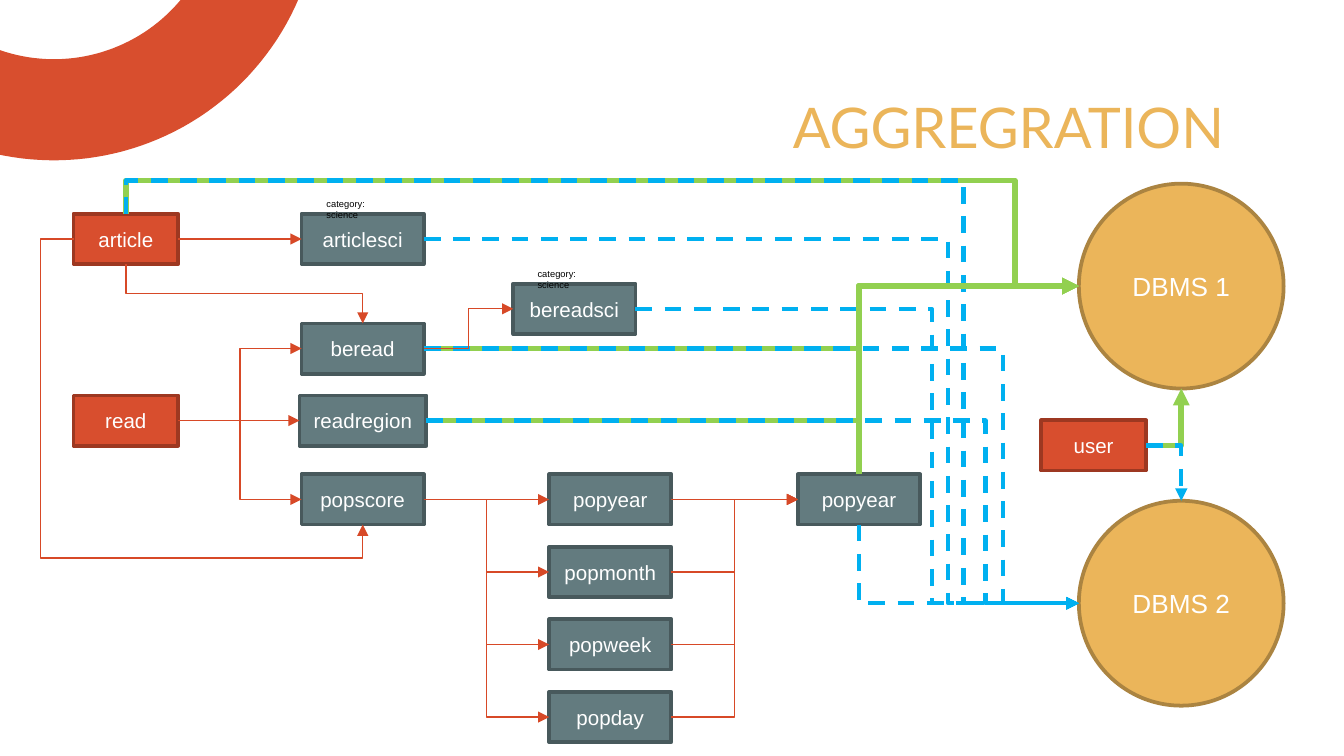
import math

from pptx import Presentation
from pptx.dml.color import RGBColor
from pptx.enum.dml import MSO_LINE
from pptx.enum.shapes import MSO_CONNECTOR, MSO_SHAPE
from pptx.enum.text import MSO_ANCHOR, MSO_AUTO_SIZE, PP_ALIGN
from pptx.oxml.ns import qn
from pptx.oxml.xmlchemy import OxmlElement
from pptx.util import Cm, Pt

RECT, OVAL = MSO_SHAPE.RECTANGLE, MSO_SHAPE.OVAL
STRAIGHT, ELBOW = MSO_CONNECTOR.STRAIGHT, MSO_CONNECTOR.ELBOW
TOP, LEFT, BOTTOM, RIGHT = range(4)
MID = None  # turn halfway between the two ends

COLORS = {
    "white": "FFFFFF", "black": "000000", "gold": "EBB55A", "gold edge": "AB8441",
    "red": "D84E2E", "red edge": "9D3821", "slate": "637B7F", "slate edge": "48595C",
    "flow": "D74927", "green": "92D050", "blue": "00B0F0",
}

# Kind: preset, fill, edge, width, height, text size
KINDS = {
    "source": (RECT, "red", "red edge", 1.98, 0.95, 11),
    "derived": (RECT, "slate", "slate edge", 2.31, 0.95, 11),
    "wide": (RECT, "slate", "slate edge", 2.4, 0.95, 11),
    "dbms": (OVAL, "gold", "gold edge", 3.87, 3.87, 14),
}
# Flow: colour, line width, dashed
FLOWS = {
    "derive": ("flow", 0.75, False),
    "dbms 1": ("green", 3, False),
    "dbms 2": ("blue", 2.25, True),
}

# Key: label, kind, left, top (cm)
NODES = {
    "user": ("user", "source", 19.68, 7.94),
    "article": ("article", "source", 1.39, 4.04),
    "read": ("read", "source", 1.39, 7.47),
    "articlesci": ("articlesci", "derived", 5.7, 4.04),
    "beread": ("beread", "derived", 5.7, 6.11),
    "bereadsci": ("bereadsci", "derived", 9.7, 5.36),
    "popscore": ("popscore", "derived", 5.7, 8.96),
    "popyear all": ("popyear", "derived", 15.08, 8.96),
    "dbms 1": ("DBMS 1", "dbms", 20.39, 3.47),
    "dbms 2": ("DBMS 2", "dbms", 20.39, 9.46),
    "readregion": ("readregion", "wide", 5.66, 7.47),
}
PERIODS = ["popyear", "popmonth", "popweek", "popday"]
PERIOD_LEFT, PERIOD_TOP, PERIOD_STEP = 10.38, 8.96, 1.37
for row, period in enumerate(PERIODS):
    NODES[period] = (period, "derived", PERIOD_LEFT, PERIOD_TOP + row * PERIOD_STEP)

NOTES = [("category: science", 5.92, 3.61), ("category: science", 9.91, 4.93)]

# Flow, from, side, to, side, turns (cm, alternating axes; None for a straight line)
LINKS = [
    ("derive", "article", RIGHT, "articlesci", LEFT, None),
    ("derive", "read", RIGHT, "beread", LEFT, [MID]),
    ("derive", "read", RIGHT, "popscore", LEFT, [MID]),
    ("derive", "article", BOTTOM, "beread", TOP, [MID]),
    ("derive", "article", LEFT, "popscore", BOTTOM, [0.76, 10.54]),
    ("derive", "popscore", RIGHT, "popyear", LEFT, None),
    *[("derive", "popscore", RIGHT, period, LEFT, [MID]) for period in PERIODS[1:]],
    ("derive", "popyear", RIGHT, "popyear all", LEFT, None),
    *[("derive", period, RIGHT, "popyear all", LEFT, [MID]) for period in PERIODS[1:]],
    ("dbms 1", "article", TOP, "dbms 1", LEFT, [3.41, 19.18]),
    ("dbms 2", "article", TOP, "dbms 2", LEFT, [3.41, 18.21]),
    ("dbms 2", "articlesci", RIGHT, "dbms 2", LEFT, [17.92]),
    ("dbms 2", "bereadsci", RIGHT, "dbms 2", LEFT, [17.61]),
    ("dbms 1", "beread", RIGHT, "dbms 1", LEFT, [16.23]),
    ("dbms 2", "beread", RIGHT, "dbms 2", LEFT, [18.95]),
    ("derive", "beread", RIGHT, "bereadsci", LEFT, [MID]),
    ("dbms 1", "popyear all", TOP, "dbms 1", LEFT, []),
    ("dbms 2", "popyear all", BOTTOM, "dbms 2", LEFT, []),
    ("dbms 1", "user", RIGHT, "dbms 1", BOTTOM, []),
    ("dbms 2", "user", RIGHT, "dbms 2", TOP, []),
    ("derive", "read", RIGHT, "readregion", LEFT, None),
    ("dbms 1", "readregion", RIGHT, "dbms 1", LEFT, [16.23]),
    ("dbms 2", "readregion", RIGHT, "dbms 2", LEFT, [18.63]),
]


def color(name):
    return RGBColor.from_string(COLORS[name])


def write(frame, text, *, size, ink="white", font="Arial", align=PP_ALIGN.CENTER,
          anchor=MSO_ANCHOR.MIDDLE, inset=0.13):
    frame.word_wrap, frame.auto_size = True, MSO_AUTO_SIZE.NONE
    frame.vertical_anchor = anchor
    frame.margin_left = frame.margin_right = Cm(0.25)
    frame.margin_top = frame.margin_bottom = Cm(inset)
    paragraph = frame.paragraphs[0]
    paragraph.alignment = align
    run = paragraph.add_run()
    run.text = text
    run.font.size, run.font.name = Pt(size), font
    run.font.color.rgb = color(ink)


def add_node(slide, label, kind, left, top):
    preset, fill, edge, width, height, size = KINDS[kind]
    node = slide.shapes.add_shape(preset, Cm(left), Cm(top), Cm(width), Cm(height))
    node.shadow.inherit = False
    node.fill.solid()
    node.fill.fore_color.rgb = color(fill)
    node.line.color.rgb, node.line.width = color(edge), Pt(2)
    write(node.text_frame, label, size=size)
    return node


def bend(link, vertical_start, turns):
    """Shape an elbow so that it turns at the given positions."""
    start, end = (link.begin_x, link.begin_y), (link.end_x, link.end_y)
    span = [b - a for a, b in zip(start, end)]
    xfrm = link.element.spPr.find(qn("a:xfrm"))
    if vertical_start:
        width, height = abs(span[1]), abs(span[0])
        link.left = (start[0] + end[0] - width) // 2
        link.top = (start[1] + end[1] - height) // 2
        link.width, link.height = width, height
        for flip in ("flipH", "flipV"):
            xfrm.attrib.pop(flip, None)
        xfrm.set("rot", "16200000")
        if span[1] > 0:
            xfrm.set("flipH", "1")
    geometry = link.element.spPr.find(qn("a:prstGeom"))
    geometry.set("prst", f"bentConnector{len(turns) + 2}")
    guides = geometry.find(qn("a:avLst"))
    for i, turn in enumerate(turns):
        axis = (i + vertical_start) % 2
        share = 0.5 if turn is MID else (Cm(turn) - start[axis]) / span[axis]
        guide = OxmlElement("a:gd")
        guide.set("name", f"adj{i + 1}")
        guide.set("fmla", f"val {round(share * 100000)}")
        guides.append(guide)


def add_link(slide, nodes, flow, origin, origin_side, target, target_side, turns):
    ink, width, dashed = FLOWS[flow]
    link = slide.shapes.add_connector(STRAIGHT if turns is None else ELBOW, 0, 0, 0, 0)
    link.begin_connect(nodes[origin], origin_side)
    link.end_connect(nodes[target], target_side)
    if NODES[target][1] == "dbms":  # an ellipse has eight connection sites
        link.element.xpath(".//a:endCxn")[0].set("idx", str(2 * target_side))
    if turns is not None:
        bend(link, origin_side in (TOP, BOTTOM), turns)
    link.line.color.rgb, link.line.width = color(ink), Pt(width)
    if dashed:
        link.line.dash_style = MSO_LINE.DASH
    arrow = OxmlElement("a:tailEnd")
    arrow.set("type", "triangle")
    link.line._get_or_add_ln().append(arrow)
    link.element.spPr.append(OxmlElement("a:effectLst"))


def add_ring(slide, center_x, center_y, outer, inner, first, last):
    """Draw a ring segment between two angles in degrees."""
    angles = [math.radians(a) for a in range(first, last + 1, 2)]
    arcs = [(outer, a) for a in angles] + [(inner, a) for a in reversed(angles)]
    points = [(Cm(center_x + r * math.cos(a)), Cm(center_y + r * math.sin(a)))
              for r, a in arcs]
    builder = slide.shapes.build_freeform(*points[0])
    builder.add_line_segments(points[1:])
    ring = builder.convert_to_shape()
    ring.shadow.inherit = False
    ring.fill.solid()
    ring.fill.fore_color.rgb = color("red")
    ring.line.fill.background()


def main():
    deck = Presentation()
    deck.slide_width, deck.slide_height = Cm(25.4), Cm(14.28)
    slide = deck.slides.add_slide(deck.slide_layouts[5])

    # Corner ring and title
    add_ring(slide, 1.02, -2, 5.03, 3.12, 23, 113)
    title = slide.shapes.title
    title.left, title.top, title.width, title.height = Cm(10.16), Cm(1.5), Cm(13.23), Cm(1.6)
    write(title.text_frame, "AGGREGRATION", size=30, ink="gold", font="Lato",
          align=PP_ALIGN.RIGHT, anchor=MSO_ANCHOR.TOP, inset=0.25)

    # Tables and databases, then the flows between them
    nodes = {key: add_node(slide, *node) for key, node in NODES.items()}
    for link in LINKS:
        add_link(slide, nodes, *link)

    # Filter notes
    for text, left, top in NOTES:
        note = slide.shapes.add_textbox(Cm(left), Cm(top), Cm(1.88), Cm(0.48))
        write(note.text_frame, text, size=5, ink="black", align=PP_ALIGN.LEFT,
              anchor=MSO_ANCHOR.TOP)

    deck.save("out.pptx")


if __name__ == "__main__":
    main()
